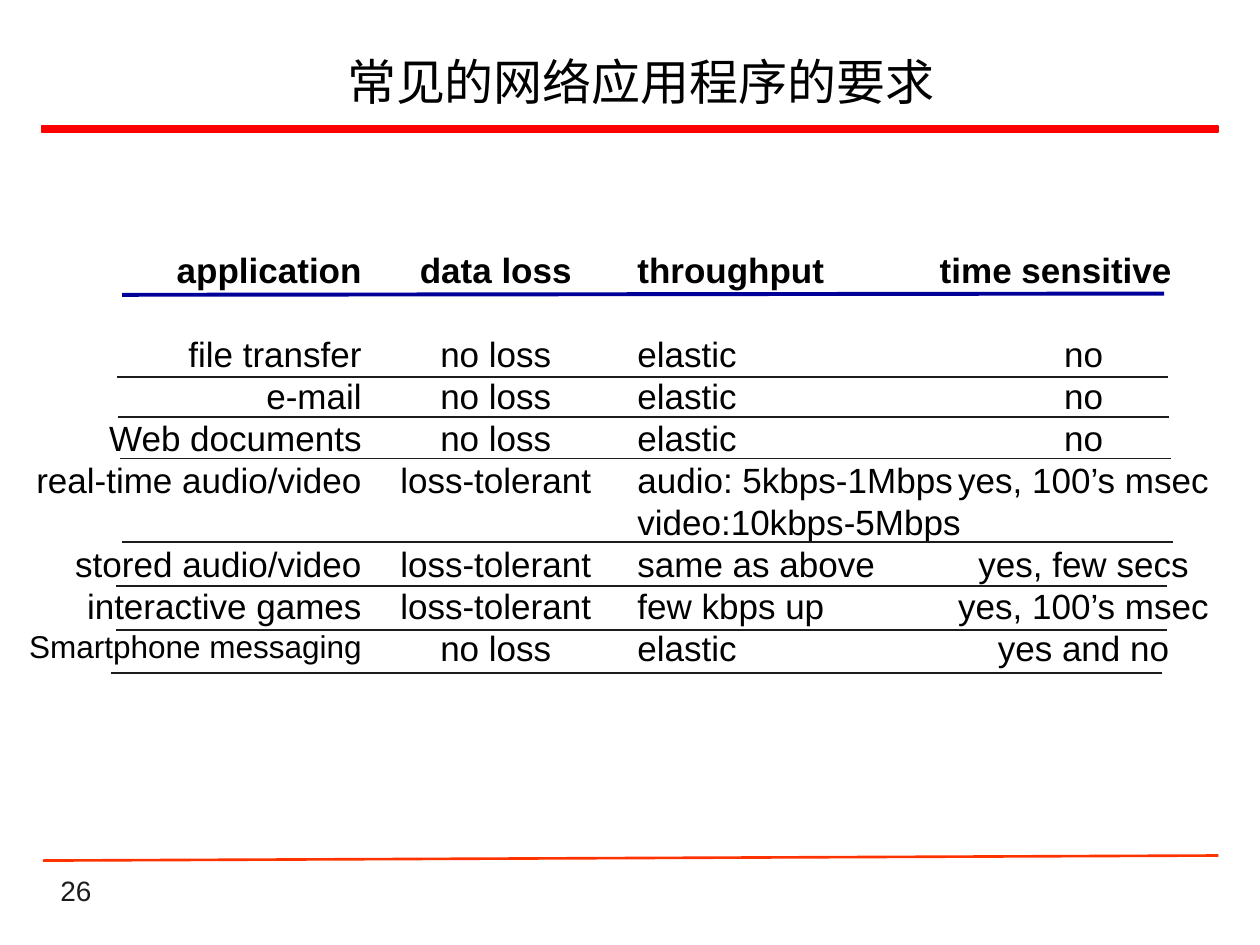
from lxml.etree import SubElement
from pptx import Presentation
from pptx.dml.color import RGBColor
from pptx.enum.shapes import MSO_CONNECTOR, MSO_SHAPE
from pptx.enum.text import MSO_ANCHOR, PP_ALIGN
from pptx.oxml.ns import qn
from pptx.util import Inches, Pt

# Content: None leaves a row free
TITLE = "常见的网络应用程序的要求"
PAGE = "26"
COLUMNS = [
    dict(head="application", box=(0.1, 1.92, 2.87, 3.43), inset=0.1,
         head_align=PP_ALIGN.RIGHT, align=PP_ALIGN.RIGHT,
         cells=["file transfer", "e-mail", "Web documents", "real-time audio/video", None,
                "stored audio/video", "interactive games", "Smartphone messaging"]),
    dict(head="data loss", box=(3.08, 1.92, 1.71, 3.43), inset=0.02,
         head_align=PP_ALIGN.CENTER, align=PP_ALIGN.CENTER,
         cells=["no loss", "no loss", "no loss", "loss-tolerant", None,
                "loss-tolerant", "loss-tolerant", "no loss"]),
    dict(head="throughput", box=(4.96, 1.92, 2.82, 3.43), inset=0.1,
         head_align=PP_ALIGN.LEFT, align=PP_ALIGN.LEFT,
         cells=["elastic", "elastic", "elastic", "audio: 5kbps-1Mbps",
                "video:10kbps-5Mbps", "same as above", "few kbps up", "elastic"]),
    dict(head="time sensitive", box=(7.36, 1.92, 2.48, 3.43), inset=0.1,
         head_align=PP_ALIGN.LEFT, align=PP_ALIGN.CENTER,
         cells=["no", "no", "no", "yes, 100’s msec", None,
                "yes, few secs", "yes, 100’s msec", "yes and no"]),
]
SMALL = {"Smartphone messaging": (18, 22)}  # size, line height
SIZE, ROW = 20, 24
RULE_WIDTH = 8.34
ROW_RULES = [(0.93, 2.99), (0.94, 3.31), (0.95, 3.64), (0.97, 4.3),
             (0.92, 4.65), (0.92, 5), (0.88, 5.34)]  # left, height on slide
COLORS = {"text": "000000", "dark": "1C1C1C", "head_rule": "000099",
          "bar": "FF0000", "foot_rule": "FF3300"}


def color(name):
    return RGBColor.from_string(COLORS[name])


def add_line(s, start, end, name, width):
    line = s.shapes.add_connector(MSO_CONNECTOR.STRAIGHT,
                                  *map(Inches, start + end))
    line.line.color.rgb = color(name)
    line.line.width = Pt(width)
    SubElement(line._element.spPr, qn("a:effectLst"))


def add_text(p, text, size, name="text", font="Arial", bold=False):
    r = p.add_run()
    r.text = text
    r.font.color.rgb = color(name)
    for key, value in dict(size=Pt(size), name=font, bold=bold).items():
        setattr(r.font, key, value)


def add_column(s, column):
    tf = s.shapes.add_textbox(*map(Inches, column["box"])).text_frame
    tf.word_wrap = True
    tf.margin_left = tf.margin_right = Inches(column["inset"])
    p = tf.paragraphs[0]
    p.alignment, p.line_spacing = column["head_align"], Pt(ROW)
    add_text(p, column["head"], SIZE, bold=True)
    gap = ROW  # one free row under the heading
    for text in column["cells"]:
        if text is None:
            gap += ROW
            continue
        size, height = SMALL.get(text, (SIZE, ROW))
        p = tf.add_paragraph()
        form = dict(alignment=column["align"], line_spacing=Pt(height), space_before=Pt(gap))
        for key, value in form.items():
            setattr(p, key, value)
        add_text(p, text, size)
        gap = 0


def main():
    prs = Presentation()
    prs.slide_width, prs.slide_height = Inches(10), Inches(7.5)
    s = prs.slides.add_slide(prs.slide_layouts[5])

    # Title
    sp = s.shapes.title
    sp.left, sp.top, sp.width, sp.height = map(Inches, (0.41, 0.26, 9.35, 0.77))
    tf = sp.text_frame
    tf.vertical_anchor = MSO_ANCHOR.MIDDLE
    tf.paragraphs[0].alignment = PP_ALIGN.CENTER
    add_text(tf.paragraphs[0], TITLE, 28, font="Roboto")

    # Bar under the title
    bar = s.shapes.add_shape(MSO_SHAPE.RECTANGLE, *map(Inches, (0.33, 1, 9.34, 0.05)))
    bar.shadow.inherit = False
    bar.fill.solid()
    bar.fill.fore_color.rgb = bar.line.color.rgb = color("bar")
    bar.line.width = Pt(1)

    # Footer rule and page number
    add_line(s, (0.34, 6.83), (9.67, 6.79), "foot_rule", 1.5)
    tf = s.shapes.add_textbox(*map(Inches, (0.38, 7, 2.08, 0.25))).text_frame
    tf.word_wrap = True
    tf.vertical_anchor = MSO_ANCHOR.BOTTOM
    add_text(tf.paragraphs[0], PAGE, 16, "dark")

    # Requirement columns
    for column in COLUMNS:
        add_column(s, column)

    # Rules under the heading and the rows
    add_line(s, (0.97, 2.34), (9.24, 2.33), "head_rule", 2.25)
    for left, y in ROW_RULES:
        add_line(s, (left, y), (left + RULE_WIDTH, y), "dark", 1)

    prs.save("out.pptx")


if __name__ == "__main__":
    main()
